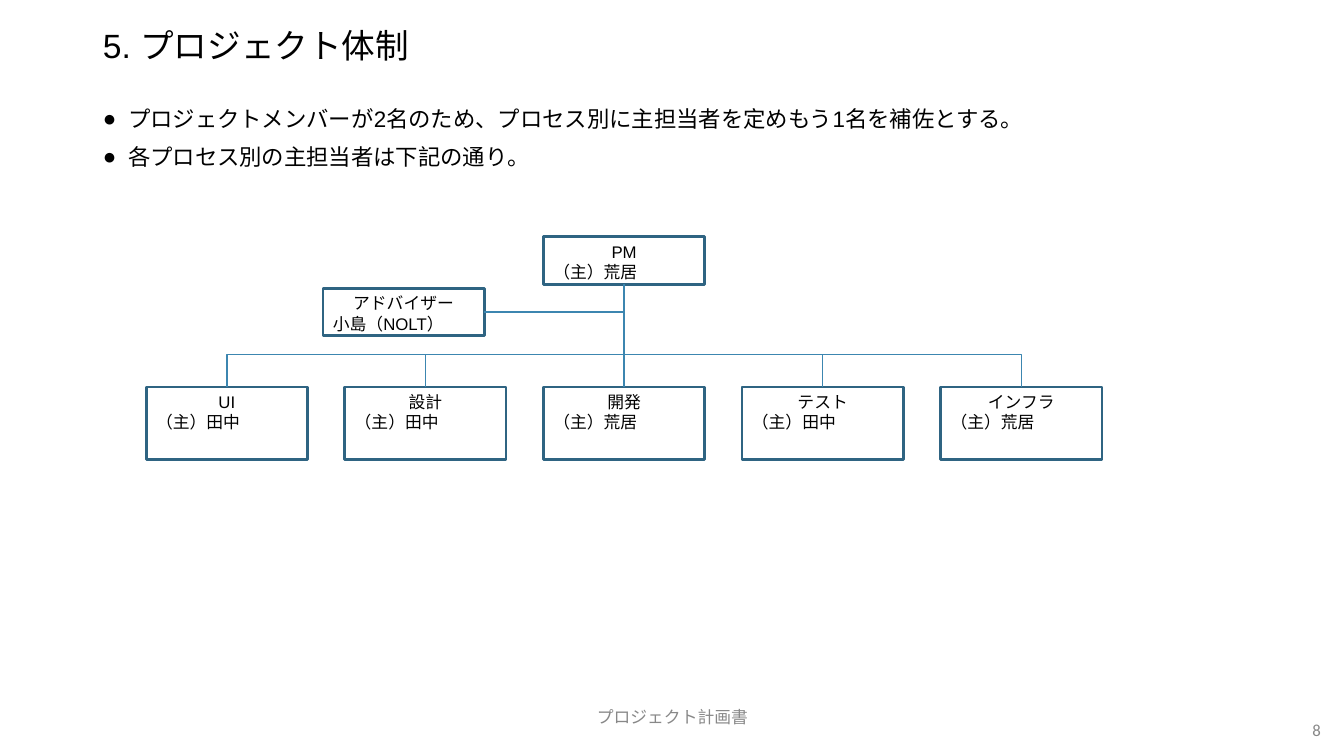
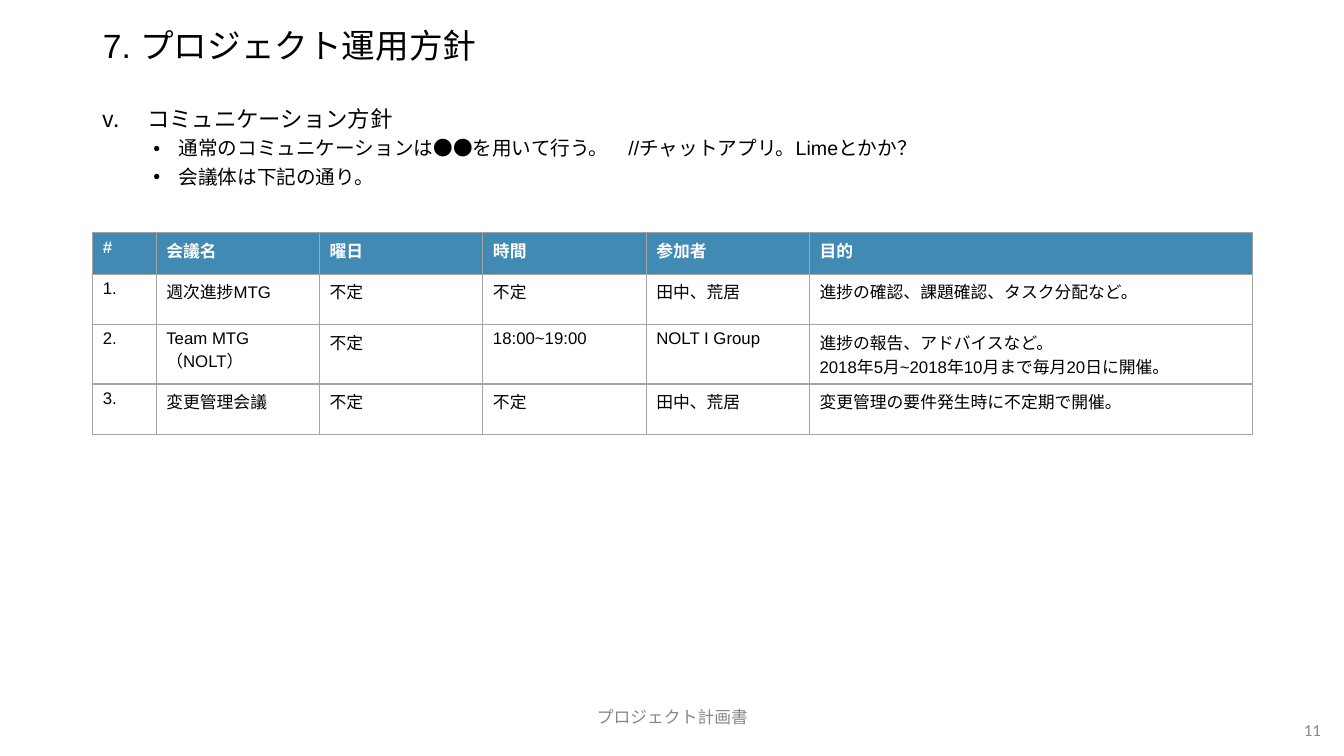
"""Build the organisation and communication slides of a project plan."""
from dataclasses import dataclass

from lxml.etree import SubElement
from pptx import Presentation
from pptx.dml.color import RGBColor
from pptx.enum.shapes import MSO_CONNECTOR, MSO_SHAPE
from pptx.enum.text import MSO_ANCHOR, MSO_AUTO_SIZE, PP_ALIGN
from pptx.oxml.ns import qn
from pptx.util import Emu, Inches, Pt

BLACK = RGBColor(0x00, 0x00, 0x00)
WHITE = RGBColor(0xFF, 0xFF, 0xFF)
GRAY = RGBColor(0x88, 0x88, 0x88)
GRID = RGBColor(0xA5, 0xA5, 0xA5)
HEADER = RGBColor(0x41, 0x8A, 0xB3)
BOX_LINE = RGBColor(0x2F, 0x64, 0x82)
LINK_LINE = RGBColor(0x3C, 0x86, 0xB0)

LEFT, WIDTH = 0.92, 11.5
CHART_LEFT, CHART_TOP = 1.45, 2.35
COL, ROW = 1.97, 0.5
BOX_WIDTH = 1.6


@dataclass(frozen=True)
class Bullet:
    """A list item with its marker, hanging indent and spacing."""
    text: str
    marker: str = "●"
    level: int = 0
    size: int = 16
    margin: float = 0.25
    hang: float = 0.25
    before: int = 0
    start: int = 0


@dataclass(frozen=True)
class OrgBox:
    """A role box placed by column and row of the chart grid."""
    role: str
    person: str
    col: float
    row: float
    height: float


PM = OrgBox("PM", "（主）荒居", 2, 0, 0.47)
ADVISER = OrgBox("アドバイザー", "小島（NOLT）", 0.89, 1.02, 0.47)
PROCESSES = [
    OrgBox(role, f"（主）{lead}", col, 2.98, 0.72)
    for col, (role, lead) in enumerate([
        ("UI", "田中"), ("設計", "田中"), ("開発", "荒居"),
        ("テスト", "田中"), ("インフラ", "荒居"),
    ])
]

TEAM_BULLETS = [
    Bullet("プロジェクトメンバーが2名のため、プロセス別に主担当者を定めもう1名を補佐とする。"),
    Bullet("各プロセス別の主担当者は下記の通り。", before=10),
]
POLICY_BULLETS = [
    Bullet("コミュニケーション方針", margin=0.44, hang=0.44, start=5),
    Bullet("通常のコミュニケーションは●●を用いて行う。　//チャットアプリ。Limeとかか？",
           "•", 1, 14, 0.75, before=5),
    Bullet("会議体は下記の通り。", "•", 1, 14, 0.75, before=5),
]

COLUMNS = [0.63, 1.62, 1.62, 1.62, 1.62, 4.39]
ROWS = [0.41, 0.5, 0.59, 0.5]
MEETINGS = [
    ["#", "会議名", "曜日", "時間", "参加者", "目的"],
    ["1.", "週次進捗MTG", "不定", "不定", "田中、荒居",
     "進捗の確認、課題確認、タスク分配など。"],
    ["2.", "Team MTG（NOLT）", "不定", "18:00~19:00", "NOLT I Group",
     "進捗の報告、アドバイスなど。\n2018年5月~2018年10月まで毎月20日に開催。"],
    ["3.", "変更管理会議", "不定", "不定", "田中、荒居",
     "変更管理の要件発生時に不定期で開催。"],
]


def place(s, left: float, top: float, width: float, height: float) -> None:
    """Move and size a shape in inches."""
    s.left, s.top = Inches(left), Inches(top)
    s.width, s.height = Inches(width), Inches(height)


def add_run(p, text: str, size: int = 12, color: RGBColor = BLACK,
            font: str = "Arial", bold: bool = False) -> None:
    """Add one formatted run to a paragraph."""
    r = p.add_run()
    r.text = text
    r.font.name, r.font.size, r.font.bold = font, Pt(size), bold
    r.font.color.rgb = color


def next_paragraph(tf, index: int):
    """Return the first paragraph or append a new one."""
    return tf.add_paragraph() if index else tf.paragraphs[0]


def add_color(parent, tag: str, color: RGBColor):
    """Append an element that holds one colour."""
    el = SubElement(parent, qn(tag))
    SubElement(el, qn("a:srgbClr"), val=str(color))
    return el


def add_bullet(p, item: Bullet) -> None:
    """Write a list item into a paragraph."""
    p.level = item.level
    p.line_spacing, p.space_before = 0.9, Pt(item.before)
    pPr = p._p.get_or_add_pPr()
    pPr.set("marL", str(Inches(item.margin)))
    pPr.set("indent", str(-Inches(item.hang)))
    add_color(pPr, "a:buClr", BLACK)
    SubElement(pPr, qn("a:buFont"), typeface="Arial")
    if item.start:
        SubElement(pPr, qn("a:buAutoNum"), type="romanLcPeriod",
                   startAt=str(item.start))
    else:
        SubElement(pPr, qn("a:buChar"), char=item.marker)
    add_run(p, item.text, item.size)


def add_note(slide, text: str, box: tuple[float, ...], align: PP_ALIGN) -> None:
    """Add a grey footer text."""
    s = slide.shapes.add_textbox(*map(Inches, box))
    tf = s.text_frame
    tf.word_wrap, tf.vertical_anchor = True, MSO_ANCHOR.MIDDLE
    p = tf.paragraphs[0]
    p.alignment = align
    add_run(p, text, color=GRAY, font="Calibri")


def add_page(prs, title: str, bullets: list[Bullet], body_height: float, number: int):
    """Add a slide with title, list and footer."""
    slide = prs.slides.add_slide(prs.slide_layouts[1])
    head, body = slide.shapes.title, slide.placeholders[1]
    place(head, LEFT, 0.14, WIDTH, 0.67)
    place(body, LEFT, 1.02, WIDTH, body_height)
    for s, anchor in ((head, MSO_ANCHOR.MIDDLE), (body, MSO_ANCHOR.TOP)):
        s.text_frame.auto_size = MSO_AUTO_SIZE.NONE
        s.text_frame.vertical_anchor = anchor
    p = head.text_frame.paragraphs[0]
    p.alignment, p.line_spacing = PP_ALIGN.LEFT, 0.9
    add_run(p, title, 24)
    for i, item in enumerate(bullets):
        add_bullet(next_paragraph(body.text_frame, i), item)
    add_note(slide, "プロジェクト計画書", (4.42, 6.91, 4.5, 0.4), PP_ALIGN.CENTER)
    add_note(slide, str(number), (12.3, 7.04, 0.9, 0.4), PP_ALIGN.RIGHT)
    return slide


def add_org_box(slide, box: OrgBox):
    """Draw a role box and return its shape."""
    s = slide.shapes.add_shape(
        MSO_SHAPE.RECTANGLE, Inches(CHART_LEFT + box.col * COL),
        Inches(CHART_TOP + box.row * ROW), Inches(BOX_WIDTH), Inches(box.height))
    s.shadow.inherit = False
    s.fill.solid()
    s.fill.fore_color.rgb = WHITE
    s.line.color.rgb, s.line.width = BOX_LINE, Pt(2)
    tf = s.text_frame
    tf.word_wrap, tf.vertical_anchor = True, MSO_ANCHOR.TOP
    lines = ((box.role, PP_ALIGN.CENTER), (box.person, PP_ALIGN.LEFT))
    for i, (text, align) in enumerate(lines):
        p = next_paragraph(tf, i)
        p.alignment = align
        add_run(p, text)
    return s


def add_link(slide, kind: MSO_CONNECTOR, x: int = 0, y: int = 0):
    """Add a thin connector whose ends lie at one point."""
    s = slide.shapes.add_connector(kind, x, y, x, y)
    s.line.color.rgb, s.line.width = LINK_LINE, Pt(1)
    SubElement(s._element.spPr, qn("a:effectLst"))
    return s


def add_branch(slide, parent, child) -> None:
    """Link the bottom of a box to the top of a lower one."""
    reach = child.left - parent.left
    kind = MSO_CONNECTOR.ELBOW if reach else MSO_CONNECTOR.STRAIGHT
    s = add_link(slide, kind)
    s.begin_connect(parent, 2)
    s.end_connect(child, 0)
    if not reach:
        return
    mid_x, mid_y = s.left + s.width // 2, s.top + s.height // 2
    s.width, s.height = s.height, s.width
    s.left, s.top = Emu(mid_x - s.width // 2), Emu(mid_y - s.height // 2)
    spPr = s._element.spPr
    xfrm = spPr.find(qn("a:xfrm"))
    xfrm.set("rot", str((270 if reach > 0 else 90) * 60000))
    xfrm.set("flipH", "1" if reach > 0 else "0")
    geom = spPr.find(qn("a:prstGeom"))
    av = geom.find(qn("a:avLst"))
    if av is None:
        av = SubElement(geom, qn("a:avLst"))
    SubElement(av, qn("a:gd"), name="adj1", fmla="val 68300")


def add_org_chart(slide) -> None:
    """Draw the project organisation."""
    pm, adviser = add_org_box(slide, PM), add_org_box(slide, ADVISER)
    for box in PROCESSES:
        add_branch(slide, pm, add_org_box(slide, box))
    s = add_link(slide, MSO_CONNECTOR.STRAIGHT, pm.left + pm.width // 2,
                 adviser.top + adviser.height // 2)
    s.begin_connect(adviser, 3)


def fill_cell(cell, text: str, is_header: bool) -> None:
    """Write, border and fill a table cell."""
    tcPr = cell._tc.get_or_add_tcPr()
    for side in ("a:lnL", "a:lnR", "a:lnT", "a:lnB"):
        ln = SubElement(tcPr, qn(side), w=str(Pt(1)))
        add_color(ln, "a:solidFill", GRID)
    cell.fill.solid()
    cell.fill.fore_color.rgb = HEADER if is_header else WHITE
    for i, line in enumerate(text.split("\n")):
        add_run(next_paragraph(cell.text_frame, i), line,
                color=WHITE if is_header else BLACK, bold=is_header)


def add_meetings(slide) -> None:
    """Draw the meeting table."""
    table = slide.shapes.add_table(
        len(ROWS), len(COLUMNS), Inches(LEFT), Inches(2.31),
        Inches(sum(COLUMNS)), Inches(sum(ROWS))).table
    for column, width in zip(table.columns, COLUMNS):
        column.width = Inches(width)
    for i, (row, height) in enumerate(zip(table.rows, ROWS)):
        row.height = Inches(height)
        for cell, text in zip(row.cells, MEETINGS[i]):
            fill_cell(cell, text, i == 0)


def main() -> None:
    """Build and save the presentation."""
    prs = Presentation()
    prs.slide_width, prs.slide_height = Inches(13.33), Inches(7.5)
    add_org_chart(add_page(prs, "5. プロジェクト体制", TEAM_BULLETS, 0.54, 8))
    add_meetings(add_page(prs, "7. プロジェクト運用方針", POLICY_BULLETS, 5.73, 11))
    prs.save("out.pptx")


if __name__ == "__main__":
    main()
